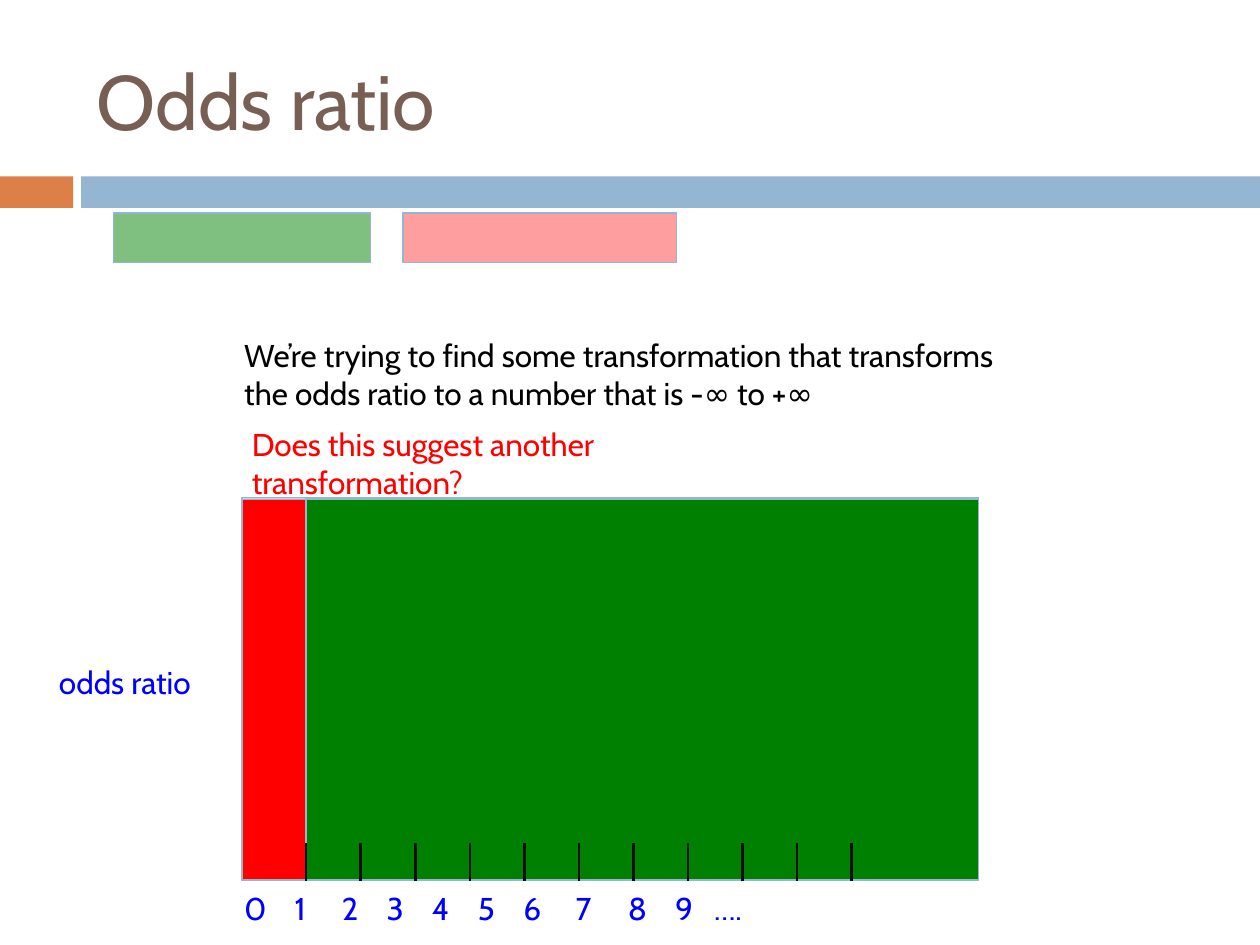
from lxml import etree
from pptx import Presentation
from pptx.dml.color import RGBColor
from pptx.enum.shapes import MSO_CONNECTOR, MSO_SHAPE
from pptx.enum.text import MSO_ANCHOR
from pptx.oxml.ns import qn
from pptx.util import Inches, Pt

RECTANGLE = MSO_SHAPE.RECTANGLE
STRAIGHT = MSO_CONNECTOR.STRAIGHT
TOP, MIDDLE = MSO_ANCHOR.TOP, MSO_ANCHOR.MIDDLE

THEME = {
    "font": "Cabin", "title_size": 44, "body_size": 18,
    "brown": "775F55", "orange": "DD8047", "blue_band": "94B6D2",
    "pale_blue": "BFD3E4", "red": "FF0000", "green": "008000",
    "label_blue": "0000FF", "black": "000000", "tick": "0D0D0D",
    "outline_width": 0.79, "tick_width": 1.5,
}

deck = Presentation()
deck.slide_width, deck.slide_height = Inches(10), Inches(7.5)
page = deck.slides.add_slide(deck.slide_layouts[6])

# The grid has 100 columns and 75 rows
COLUMN = deck.slide_width // 100
ROW = deck.slide_height // 75


def add_block(column, row, columns, rows, color, outlined=True, opacity=100):
    block = page.shapes.add_shape(RECTANGLE, round(column * COLUMN), round(row * ROW),
                                  round(columns * COLUMN), round(rows * ROW))
    block.shadow.inherit = False
    block.fill.solid()
    block.fill.fore_color.rgb = RGBColor.from_string(THEME[color])
    if opacity < 100:
        color_element = block._element.spPr.find(f".//{qn('a:srgbClr')}")
        etree.SubElement(color_element, qn("a:alpha"), val=str(opacity * 1000))
    if outlined:
        block.line.color.rgb = RGBColor.from_string(THEME["blue_band"])
        block.line.width = Pt(THEME["outline_width"])
    else:
        block.line.fill.background()


def add_text(column, row, columns, rows, text, color, size="body_size", anchor=TOP, stops=()):
    box = page.shapes.add_textbox(round(column * COLUMN), round(row * ROW),
                                  round(columns * COLUMN), round(rows * ROW))
    frame = box.text_frame
    frame.word_wrap = True
    frame.vertical_anchor = anchor
    frame.text = text
    para = frame.paragraphs[0]
    if stops:
        tabs = etree.SubElement(para._p.get_or_add_pPr(), qn("a:tabLst"))
        for stop in stops:
            etree.SubElement(tabs, qn("a:tab"), pos=str(round(stop * COLUMN)), algn="l")
    for span in para.runs:
        span.font.name = THEME["font"]
        span.font.size = Pt(THEME[size])
        span.font.color.rgb = RGBColor.from_string(THEME[color])


# Title and the band below it
add_block(0, 14, 5.8, 2.5, "orange", outlined=False)
add_block(6.45, 14, 93.55, 2.5, "blue_band", outlined=False)
add_text(6.7, 2.5, 89.2, 10.8, "Odds ratio", "brown", "title_size", MIDDLE)

# Question above the chart area
add_text(19, 33.25, 43.4, 7.1, "Does this suggest another transformation?", "red")

# Odds ratio regions: below 1 in red, above 1 in green
add_block(19.2, 39.5, 58.45, 30.4, "pale_blue")
add_block(19.2, 39.65, 5.05, 30.2, "red")
add_block(24.3, 39.6, 53.35, 30.2, "green")
add_text(3.7, 52.1, 14.7, 4, "odds ratio", "label_blue")

# Axis numbers, each set on its own tab stop
numbers = [str(number) for number in range(10)] + ["…."]
number_stops = [4, 7.75, 11.3, 14.9, 18.55, 22.15, 26.3, 30.45, 34.2, 37.3]
add_text(18.4, 70.05, 53.4, 4, "\t".join(numbers), "label_blue", stops=number_stops)

# Evenly spaced axis ticks
FIRST_TICK, TICK_GAP = 24.3, 4.33
for index in range(11):
    column = round((FIRST_TICK + index * TICK_GAP) * COLUMN)
    tick = page.shapes.add_connector(STRAIGHT, column, round(66.9 * ROW),
                                     column, round(69.9 * ROW))
    tick.line.color.rgb = RGBColor.from_string(THEME["tick"])
    tick.line.width = Pt(THEME["tick_width"])
    etree.SubElement(tick._element.spPr, qn("a:effectLst"))

# Translucent key blocks
add_block(32, 16.9, 21.7, 3.95, "red", opacity=38)
add_block(9, 16.9, 20.4, 3.95, "green", opacity=50)

# Explanation
add_text(18.4, 26.2, 62, 7.1,
         "We’re trying to find some transformation that transforms "
         "the odds ratio to a number that is -∞ to +∞", "black")

deck.save("out.pptx")
